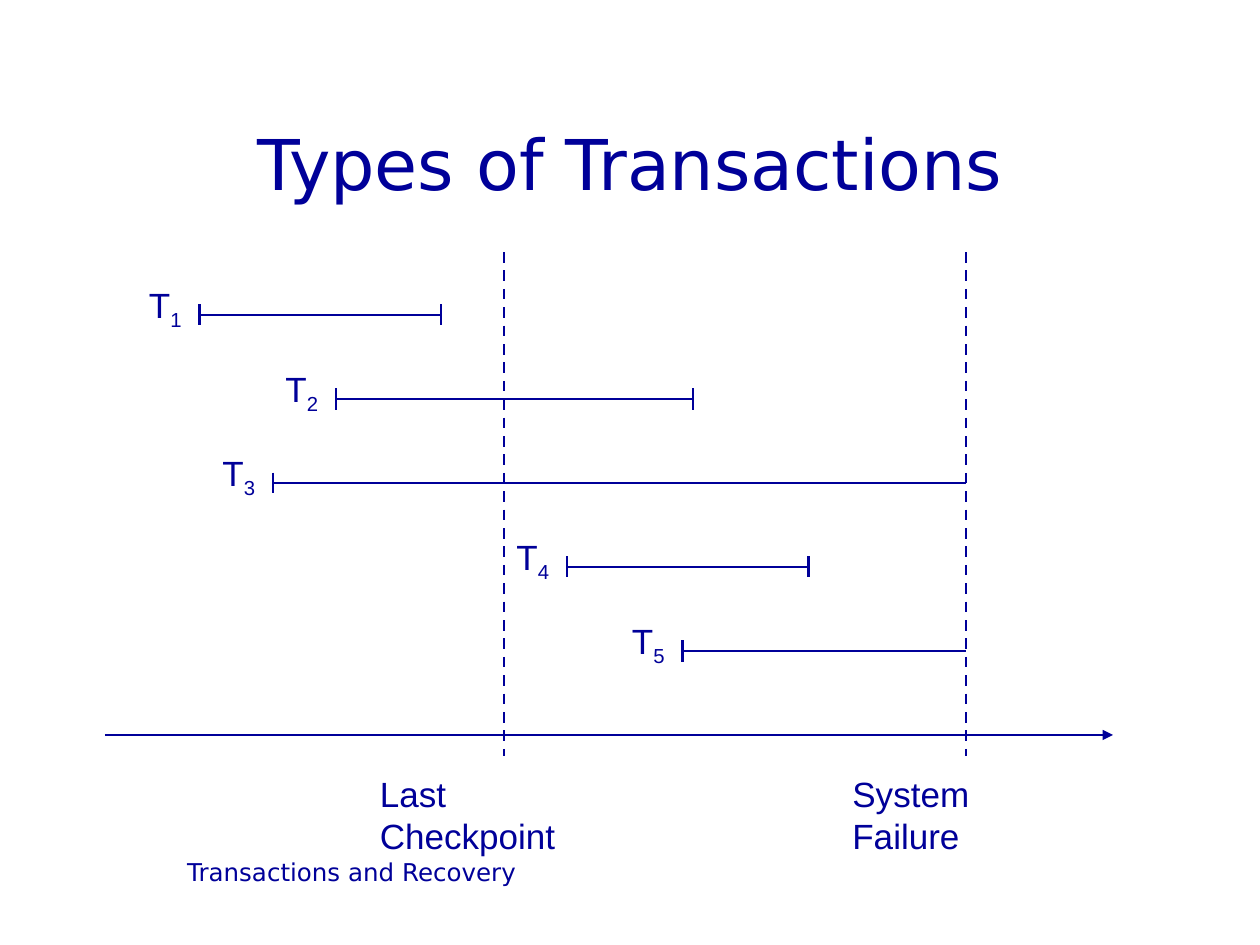
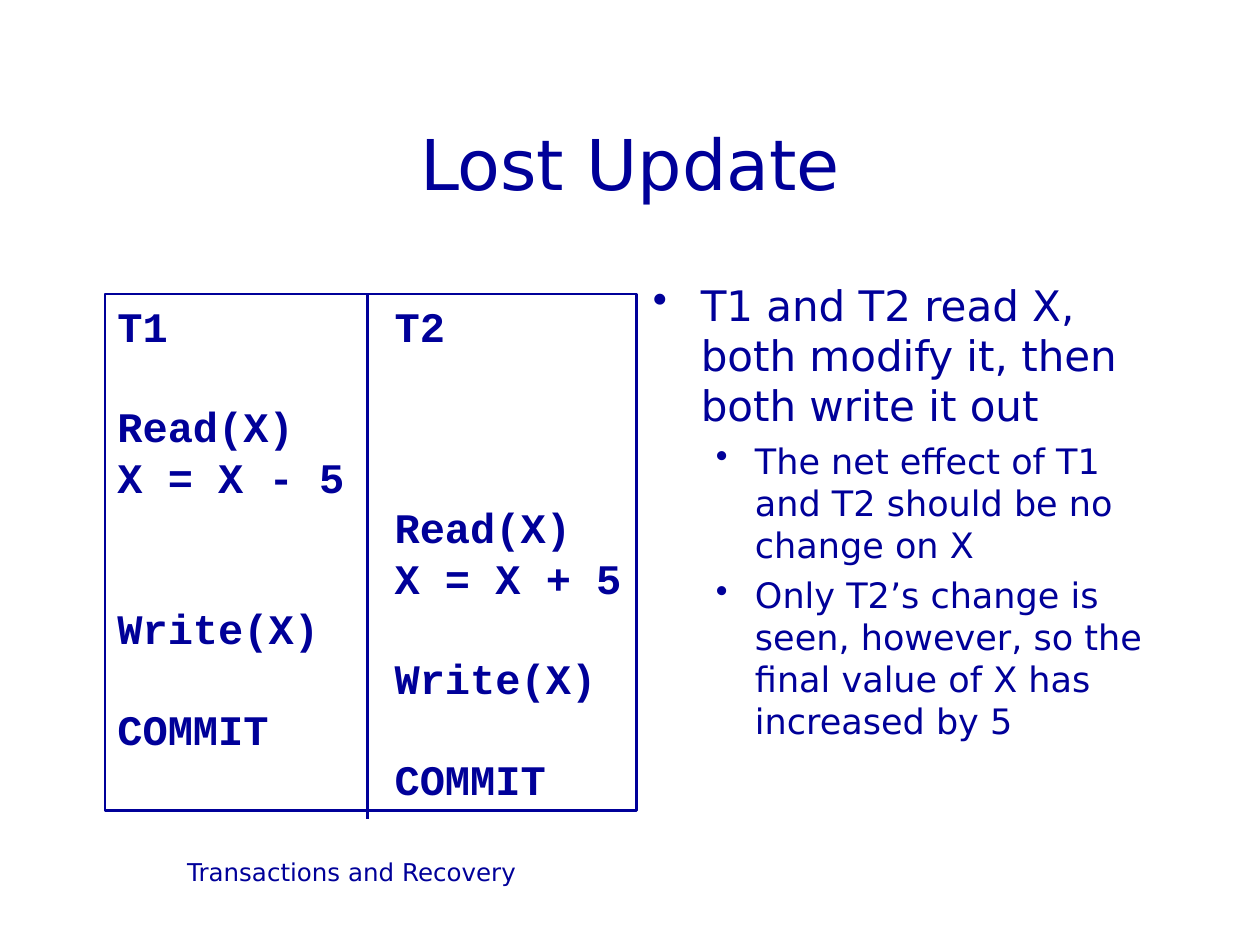
from lxml import etree
from pptx import Presentation
from pptx import util as u
from pptx.dml.color import RGBColor
from pptx.enum import dml, shapes, text
from pptx.oxml import ns

COLORS = {"ink": "000099", "page": "FFFFFF"}
FONTS = {"body": "DejaVu Sans", "label": "Arial", "code": "Courier New"}
CELL = u.Inches(1) / 12
FOOTER = "Transactions and Recovery"


class Deck:
    def __init__(self):
        self.prs = Presentation()
        self.prs.slide_width = u.Inches(10)
        self.prs.slide_height = u.Inches(7.5)
        self.slide = None

    def grid(self, *cells):
        return [u.Emu(round(cell * CELL)) for cell in cells]

    def color(self, name):
        return RGBColor.from_string(COLORS[name])

    def style(self, paragraph, face, size, bold=False, align=text.PP_ALIGN.LEFT):
        paragraph.alignment = align
        paragraph.line_spacing = u.Pt(size * 1.2)
        font = paragraph.font
        font.name, font.size, font.bold = FONTS[face], u.Pt(size), bold
        font.color.rgb = self.color("ink")

    def add_slide(self, heading):
        self.slide = self.prs.slides.add_slide(self.prs.slide_layouts[5])
        fill = self.slide.background.fill
        fill.solid()
        fill.fore_color.rgb = self.color("page")
        title = self.slide.shapes.title
        title.left, title.top, title.width, title.height = self.grid(9, 8, 102, 15)
        title.text_frame.text = heading
        title.text_frame.vertical_anchor = text.MSO_ANCHOR.MIDDLE
        self.style(title.text_frame.paragraphs[0], "body", 40, align=text.PP_ALIGN.CENTER)
        footer = self.frame(9, 81, 49, 6).paragraphs[0]
        footer.text = FOOTER
        self.style(footer, "body", 14, align=text.PP_ALIGN.CENTER)

    def frame(self, col, row, cols, rows, wrap=True):
        box = self.slide.shapes.add_textbox(*self.grid(col, row, cols, rows))
        box.text_frame.word_wrap = wrap
        return box.text_frame

    def label(self, col, row, cols, rows, words, subscript=None):
        paragraph = self.frame(col, row, cols, rows, wrap=False).paragraphs[0]
        paragraph.add_run().text = words
        if subscript:
            lowered = paragraph.add_run()
            lowered.text = subscript
            lowered.font._element.set("baseline", "-25000")
        self.style(paragraph, "label", 20)

    def line(self, col1, row1, col2, row2, dashed=False, arrow=False):
        link = self.slide.shapes.add_connector(
            shapes.MSO_CONNECTOR.STRAIGHT, *self.grid(col1, row1, col2, row2))
        link.line.color.rgb = self.color("ink")
        link.line.width = u.Pt(1.5)
        if dashed:
            link.line.dash_style = dml.MSO_LINE.DASH
        if arrow:
            etree.SubElement(link.line._get_or_add_ln(), ns.qn("a:tailEnd"), type="triangle")
        etree.SubElement(link._element.spPr, ns.qn("a:effectLst"))

    def bullets(self, col, row, cols, rows, items):
        body = self.frame(col, row, cols, rows)
        levels = [(0.38, 0.38, 24, 6), (0.81, 0.31, 20, 5)]
        for index, (level, words) in enumerate(items):
            indent, hang, size, gap = levels[level]
            paragraph = body.add_paragraph() if index else body.paragraphs[0]
            paragraph.text = words
            paragraph.level = level
            props = paragraph._p.get_or_add_pPr()
            props.set("marL", str(u.Inches(indent)))
            props.set("indent", str(-u.Inches(hang)))
            etree.SubElement(props, ns.qn("a:buChar"), char="•")
            if index:
                paragraph.space_before = u.Pt(gap)
            self.style(paragraph, "body", size)

    def code_box(self, col, row, cols, rows, steps, second_column):
        box = self.slide.shapes.add_shape(
            shapes.MSO_SHAPE.RECTANGLE, *self.grid(col, row, cols, rows))
        box.shadow.inherit = False
        box.fill.background()
        box.line.color.rgb = self.color("ink")
        box.line.width = u.Pt(1.5)
        body = box.text_frame
        body.word_wrap = True
        body.vertical_anchor = text.MSO_ANCHOR.TOP
        for index, step in enumerate(steps):
            paragraph = body.add_paragraph() if index else body.paragraphs[0]
            paragraph.text = step
            tabs = etree.SubElement(paragraph._p.get_or_add_pPr(), ns.qn("a:tabLst"))
            etree.SubElement(tabs, ns.qn("a:tab"), pos=str(u.Inches(second_column)), algn="l")
            if index == 1:
                paragraph.space_before = u.Pt(28.8)
            self.style(paragraph, "code", 24, bold=True)


def transaction_types(deck):
    checkpoint, failure = 48, 92
    deck.add_slide("Types of Transactions")
    deck.label(35, 73, 26.3, 5.25, "Last Checkpoint")
    deck.label(80, 73, 24.6, 5.25, "System Failure")
    for moment in (checkpoint, failure):
        deck.line(moment, 24, moment, 72, dashed=True)
    deck.line(10, 70, 106, 70, arrow=True)
    spans = [(19, 42), (32, 66), (26, failure), (54, 77), (65, failure)]
    for number, (start, end) in enumerate(spans, 1):
        row = 22 + 8 * number
        deck.line(start, row, end, row)
        for tick in (start, end):
            if tick != failure:
                deck.line(tick, row - 1, tick, row + 1)
        deck.label(start - 6, row - 3, 5.5, 5.75, "T", str(number))


def lost_update(deck):
    deck.add_slide("Lost Update")
    deck.bullets(61, 26, 50, 54, [
        (0, "T1 and T2 read X, both modify it, then both write it out"),
        (1, "The net effect of T1 and T2 should be no change on X"),
        (1, "Only T2’s change is seen, however, so the final value of X has increased by 5"),
    ])
    deck.code_box(10, 28, 50.6, 49.2, [
        "T1\tT2", "Read(X)", "X = X - 5", "\tRead(X)", "\tX = X + 5",
        "Write(X)", "\tWrite(X)", "COMMIT", "\tCOMMIT",
    ], second_column=2.2)
    deck.line(35, 28, 35, 78)


def main():
    deck = Deck()
    transaction_types(deck)
    lost_update(deck)
    deck.prs.save("out.pptx")


if __name__ == "__main__":
    main()
